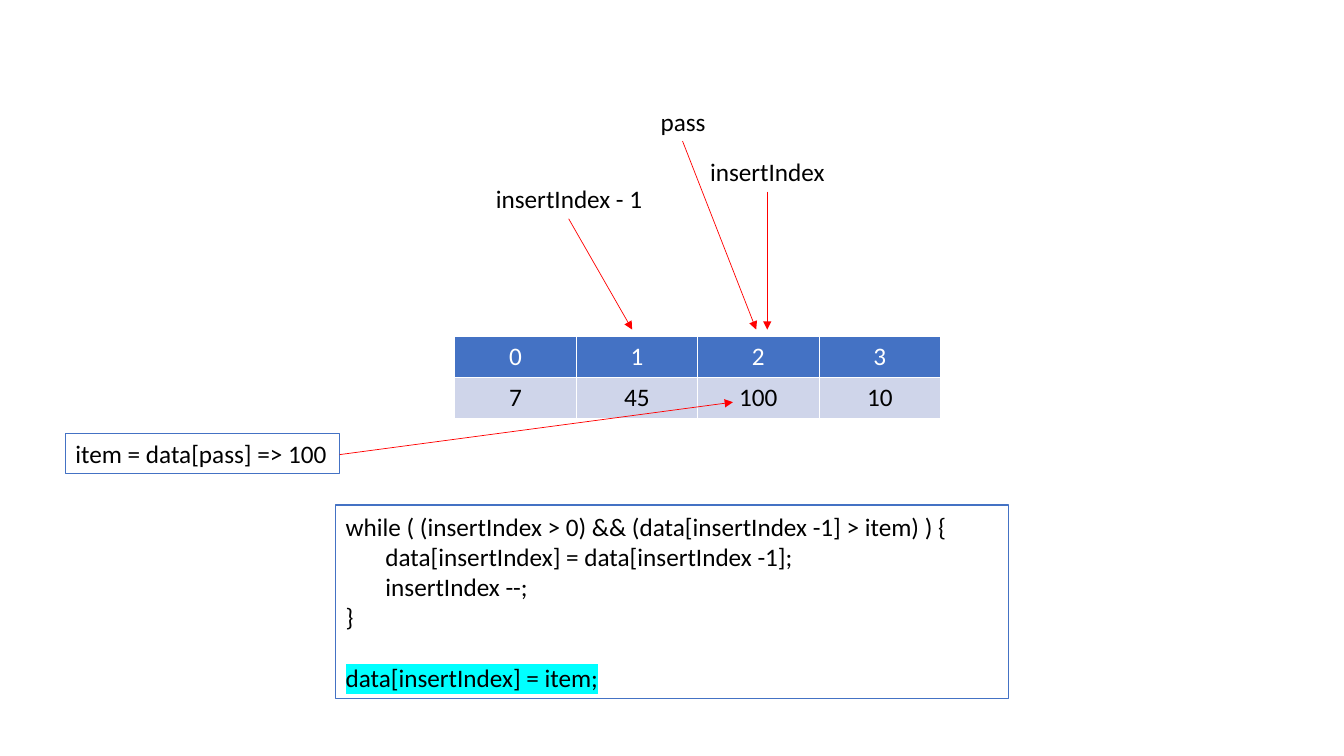
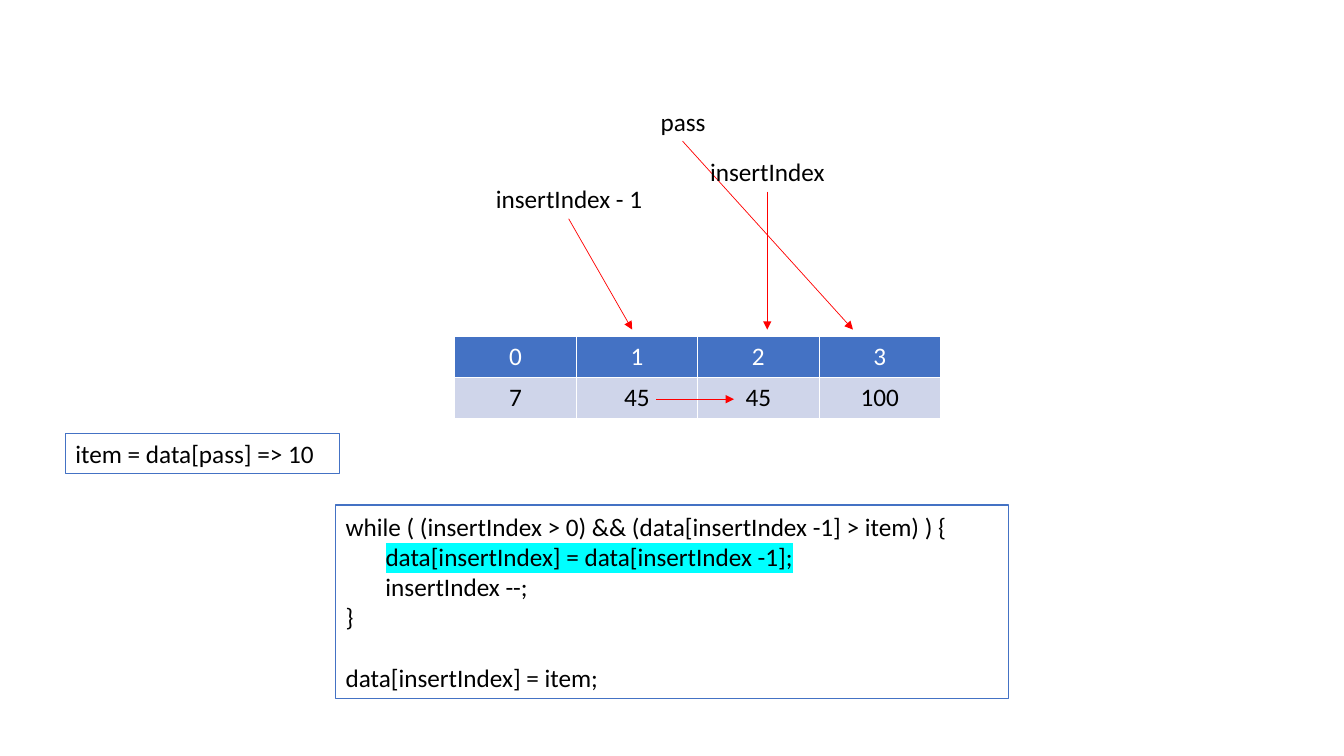
from lxml import etree
from pptx import Presentation
from pptx.dml.color import RGBColor
from pptx.enum.shapes import MSO_CONNECTOR, MSO_SHAPE
from pptx.enum.text import MSO_ANCHOR, MSO_AUTO_SIZE, PP_ALIGN
from pptx.oxml.ns import qn
from pptx.util import Pt

PX = 9144  # 100 px to the inch
LINE, RECT = MSO_CONNECTOR.STRAIGHT, MSO_SHAPE.RECTANGLE
LEFT, CENTER = PP_ALIGN.LEFT, PP_ALIGN.CENTER
MIDDLE, GROW = MSO_ANCHOR.MIDDLE, MSO_AUTO_SIZE.SHAPE_TO_FIT_TEXT

BLUE, PALE, RED = "4472C4", "CFD5EA", "FF0000"
WHITE, BLACK, CYAN = "FFFFFF", "000000", "00FFFF"
FONT = {"name": "Calibri", "size": Pt(18), "bold": False}
FRAME = {"word_wrap": True, "auto_size": GROW, "vertical_anchor": MIDDLE}

TABLE = (451, 334, 482, 81)
ITEM = (65, 430, 272, 40)
CODE = (333, 501, 667, 192)
TIP = TABLE[1] - 7
LABELS = {
    "insertIndex - 1": (478, 177, 173, 40),
    "pass": (637, 100, 81, 40),
    "insertIndex": (692, 150, 138, 40),
}
LINES = [
    "while ( (insertIndex > 0) && (data[insertIndex -1] > item) ) {",
    "       data[insertIndex] = data[insertIndex -1];",
    "       insertIndex --;",
    "}",
    "",
    "data[insertIndex] = item;",
]
STEPS = [
    {"data": [7, 45, 100, 10], "item": 100, "mark": 5,
     "tips": {"insertIndex - 1": 627, "pass": 750, "insertIndex": 761},
     "move": (337, 451, 727, 399)},
    {"data": [7, 45, 45, 100], "item": 10, "mark": 1,
     "tips": {"insertIndex - 1": 627, "pass": 846, "insertIndex": 761},
     "move": (651, 396, 728, 396)},
]


def color(code):
    return RGBColor.from_string(code)


def emu(box):
    return [n * PX for n in box]


def apply(target, values):
    for key, value in values.items():
        setattr(target, key, value)


def write(para, text, ink=BLACK, align=LEFT, mark=None):
    """Add one run of text, with an optional highlight colour."""
    para.alignment = align
    run = para.add_run()
    run.text = text
    apply(run.font, FONT)
    run.font.color.rgb = color(ink)
    if mark:
        light = etree.Element(qn("a:highlight"))
        etree.SubElement(light, qn("a:srgbClr"), val=mark)
        run.font._element.find(qn("a:solidFill")).addnext(light)


def arrow(slide, ends):
    line = slide.shapes.add_connector(LINE, *emu(ends))
    line.line.color.rgb = color(RED)
    line.line.width = Pt(0.5)
    etree.SubElement(line.line._get_or_add_ln(), qn("a:tailEnd"), type="triangle")
    etree.SubElement(line._element.spPr, qn("a:effectLst"))


def label(slide, box, text, tip):
    """Place a label and an arrow from its foot to the tip."""
    x, y, w, h = box
    frame = slide.shapes.add_textbox(*emu(box)).text_frame
    apply(frame, FRAME)
    write(frame.paragraphs[0], text, align=CENTER)
    arrow(slide, (x + w // 2, y + h, tip, TIP))


def panel(slide, box, lines, mark=None):
    """Draw an outlined box of lines, with the marked line highlighted."""
    shape = slide.shapes.add_shape(RECT, *emu(box))
    shape.shadow.inherit = False
    shape.fill.background()
    shape.line.color.rgb = color(BLUE)
    shape.line.width = Pt(0.75)
    frame = shape.text_frame
    apply(frame, FRAME)
    for i, text in enumerate(lines):
        para = frame.add_paragraph() if i else frame.paragraphs[0]
        code = text.lstrip()
        indent = text[:len(text) - len(code)]
        if indent:
            write(para, indent)
        write(para, code, mark=CYAN if i == mark else None)


def array(slide, box, data):
    """Show the values under a row of their indexes."""
    table = slide.shapes.add_table(2, len(data), *emu(box)).table
    rows = [(range(len(data)), BLUE, WHITE), (data, PALE, BLACK)]
    for r, (values, fill, ink) in enumerate(rows):
        for c, value in enumerate(values):
            cell = table.cell(r, c)
            cell.fill.solid()
            cell.fill.fore_color.rgb = color(fill)
            write(cell.text_frame.paragraphs[0], str(value), ink, CENTER)


def build(slide, step):
    array(slide, TABLE, step["data"])
    for text, box in LABELS.items():
        label(slide, box, text, step["tips"][text])
    panel(slide, ITEM, [f"item = data[pass] => {step['item']}"])
    panel(slide, CODE, LINES, step["mark"])
    arrow(slide, step["move"])


def main():
    deck = Presentation()
    deck.slide_width, deck.slide_height = emu((1333, 750))
    blank = deck.slide_layouts[6]
    for step in STEPS:
        build(deck.slides.add_slide(blank), step)
    deck.save("out.pptx")


if __name__ == "__main__":
    main()
